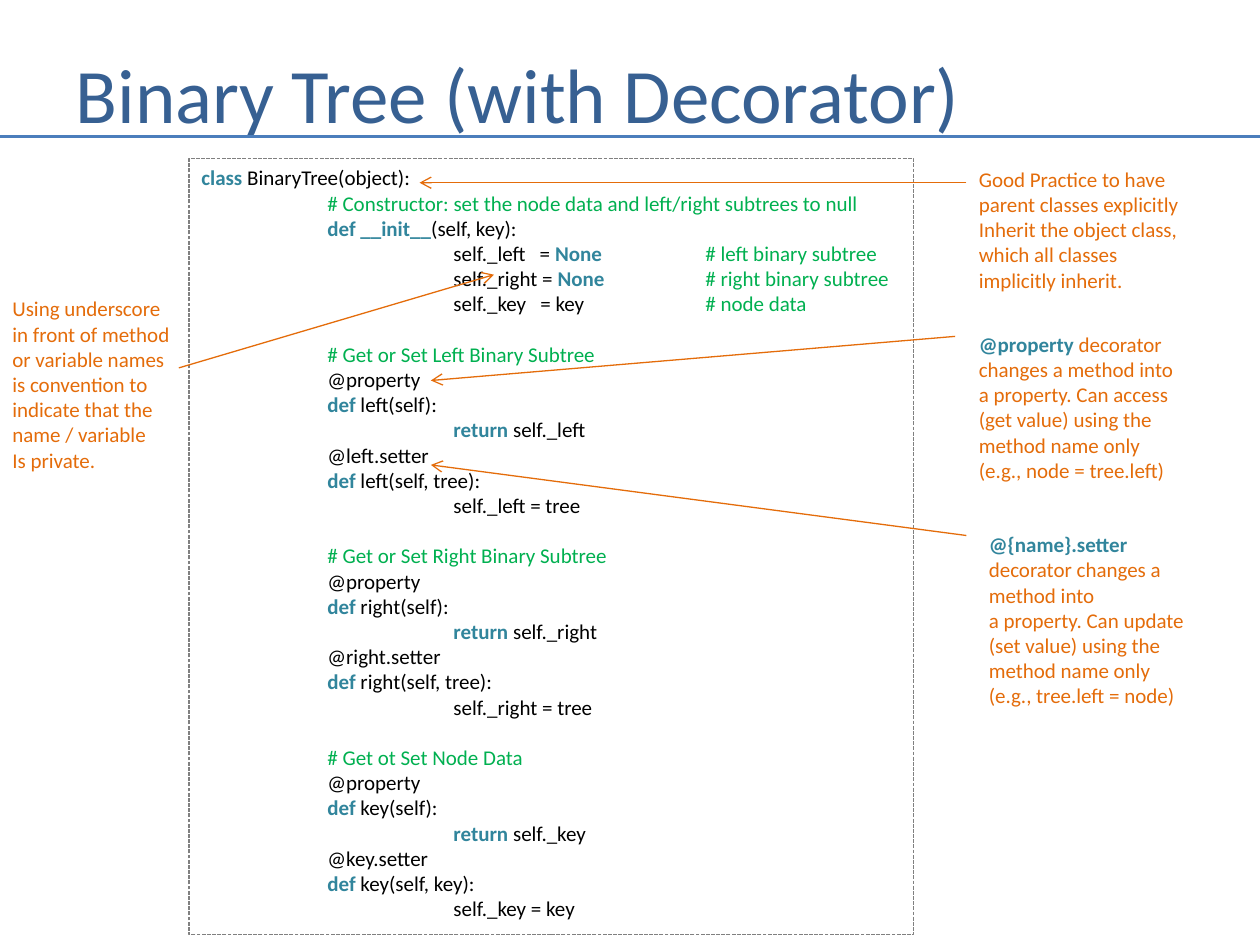
"""Build the slide about a binary tree class written with decorators."""
import dataclasses

import pptx
import pptx.dml.color
import pptx.enum.dml
import pptx.enum.shapes
import pptx.enum.text
import pptx.oxml.ns
import pptx.util
from lxml import etree
from pptx.util import Inches


@dataclasses.dataclass(frozen=True)
class Theme:
    font: str = "Calibri"
    title_size: int = 44
    body_size: int = 12
    code_gap: float = 14.4
    title: str = "376092"
    rule: str = "4B7EBC"
    border: str = "808080"
    keyword: str = "31859C"
    comment: str = "00B050"
    code: str = "000000"
    note: str = "E46C0A"


THEME = Theme()
CODE_TABS = (1, 2, 4)


def rgb(value):
    return pptx.dml.color.RGBColor.from_string(value)


def add_span(para, text, color=THEME.code, size=THEME.body_size, bold=False):
    span = para.add_run()
    span.text = text
    span.font.name = THEME.font
    span.font.size = pptx.util.Pt(size)
    span.font.bold = bold
    span.font.color.rgb = rgb(color)


def keyword(text):
    return text, {"color": THEME.keyword, "bold": True}


def comment(text):
    return text, {"color": THEME.comment}


def code(text):
    return text, {"color": THEME.code}


def note(text):
    return text, {"color": THEME.note}


def add_tabs(para, stops):
    name = pptx.oxml.ns.qn
    tabs = etree.SubElement(para._p.get_or_add_pPr(), name("a:tabLst"))
    for stop in stops:
        etree.SubElement(tabs, name("a:tab"), pos=str(Inches(stop)), algn="l")


def fill_frame(frame, lines, gaps=(), tabs=()):
    frame.word_wrap = True
    for index, line in enumerate(lines):
        para = frame.paragraphs[0] if index == 0 else frame.add_paragraph()
        para.alignment = pptx.enum.text.PP_ALIGN.LEFT
        if index in gaps:
            para.space_before = pptx.util.Pt(THEME.code_gap)
        if tabs:
            add_tabs(para, tabs)
        for text, style in line:
            add_span(para, text, **style)


def add_title(page, text):
    box = page.shapes.title
    box.left, box.top = Inches(0.5), Inches(0.3)
    box.width, box.height = Inches(9.08), Inches(0.87)
    frame = box.text_frame
    frame.auto_size = pptx.enum.text.MSO_AUTO_SIZE.NONE
    frame.vertical_anchor = pptx.enum.text.MSO_ANCHOR.MIDDLE
    fill_frame(frame, [[(text, {"color": THEME.title, "size": THEME.title_size})]])


def add_line(page, start, end, color=THEME.note, width=0.75, arrow=True):
    line = page.shapes.add_connector(
        pptx.enum.shapes.MSO_CONNECTOR.STRAIGHT,
        *(Inches(value) for value in (*start, *end)),
    )
    line.line.color.rgb = rgb(color)
    line.line.width = pptx.util.Pt(width)
    name = pptx.oxml.ns.qn
    properties = line._element.spPr
    if arrow:
        etree.SubElement(properties.find(name("a:ln")), name("a:tailEnd"), type="arrow")
    etree.SubElement(properties, name("a:effectLst"))


def add_note(page, left, top, width, height, lines):
    box = page.shapes.add_textbox(*map(Inches, (left, top, width, height)))
    fill_frame(box.text_frame, lines)


def accessor_lines(name, heading, argument):
    return [
        [comment(f"\t# {heading}")],
        [code("\t@property")],
        [keyword("\tdef "), code(f"{name}(self):")],
        [keyword("\t\treturn "), code(f"self._{name}")],
        [code(f"\t@{name}.setter")],
        [keyword("\tdef "), code(f"{name}(self, {argument}):")],
        [code(f"\t\tself._{name} = {argument}")],
    ]


def add_code(page):
    lines = [
        [keyword("class "), code("BinaryTree(object):")],
        [comment("\t# Constructor: set the node data and left/right subtrees to null")],
        [keyword("\tdef __init__"), code("(self, key):")],
        [code("\t\tself._left   = "), keyword("None \t"), comment("# left binary subtree")],
        [code("\t\tself._right = "), keyword("None \t"), comment("# right binary subtree")],
        [code("\t\tself._key   = key \t"), comment("# node data")],
    ]
    gaps = []
    for name, heading, argument in (
        ("left", "Get or Set Left Binary Subtree", "tree"),
        ("right", "Get or Set Right Binary Subtree", "tree"),
        ("key", "Get ot Set Node Data", "key"),
    ):
        gaps.append(len(lines))
        lines += accessor_lines(name, heading, argument)
    box = page.shapes.add_shape(
        pptx.enum.shapes.MSO_SHAPE.RECTANGLE, *map(Inches, (1.5, 1.26, 5.75, 6.16))
    )
    box.shadow.inherit = False
    box.fill.background()
    box.line.color.rgb = rgb(THEME.border)
    box.line.width = pptx.util.Pt(0)
    box.line.dash_style = pptx.enum.dml.MSO_LINE.SQUARE_DOT
    box.text_frame.vertical_anchor = pptx.enum.text.MSO_ANCHOR.TOP
    fill_frame(box.text_frame, lines, gaps, CODE_TABS)


def main():
    deck = pptx.Presentation()
    deck.slide_width, deck.slide_height = Inches(10), Inches(7.5)
    page = deck.slides.add_slide(deck.slide_layouts[5])
    add_title(page, "Binary Tree (with Decorator)")
    add_line(page, (0, 1.08), (10, 1.08), color=THEME.rule, width=1.75, arrow=False)
    add_code(page)
    add_note(page, 7.67, 1.27, 1.83, 1.11, [
        [note("Good Practice to have parent classes explicitly")],
        [note("Inherit the object class,")],
        [note("which all classes implicitly inherit.")],
    ])
    add_note(page, 7.67, 2.58, 1.83, 1.31, [
        [keyword("@property "), note("decorator changes a method into")],
        [note("a property. Can access (get value) using the method name only "
              "(e.g., node = tree.left)")],
    ])
    add_note(page, 7.75, 4.17, 1.83, 1.51, [
        [keyword("@{name}.setter "), note("decorator changes a method into")],
        [note("a property. Can update (set value) using the method name only "
              "(e.g., tree.left = node)")],
    ])
    add_note(page, 0, 2.3, 1.5, 1.51, [
        [note("Using underscore")],
        [note("in front of method")],
        [note("or variable names is convention to indicate that the")],
        [note("name / variable")],
        [note("Is private.")],
    ])
    for start, end in (
        ((7.67, 1.45), (3.33, 1.45)),
        ((7.58, 2.67), (3.42, 3.02)),
        ((7.67, 4.25), (3.42, 3.69)),
        ((1.42, 2.92), (3.92, 2.18)),
    ):
        add_line(page, start, end)
    deck.save("out.pptx")


if __name__ == "__main__":
    main()
